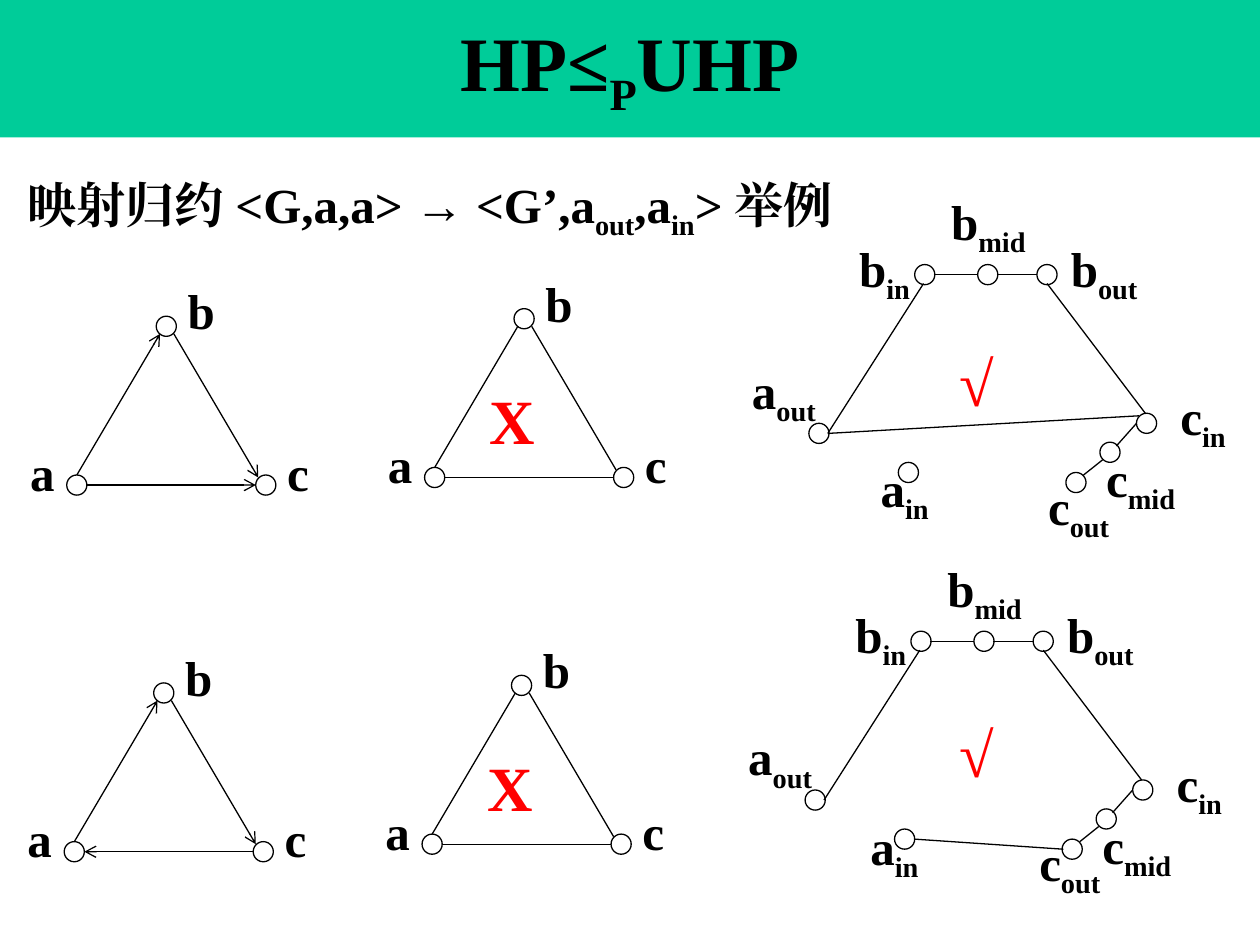
import pptx
import pptx.util
import pptx.dml.color
import pptx.enum.shapes
import pptx.enum.text
import pptx.oxml
import pptx.oxml.ns
from pptx.util import Inches

FONT = "Times New Roman"
BLACK, RED, GREEN = "000000", "FF0000", "00CC99"
NODE = 0.16
SHAPE = pptx.enum.shapes.MSO_SHAPE
ANCHOR = pptx.enum.text.MSO_ANCHOR
ALIGN = pptx.enum.text.PP_ALIGN


def color(code):
    return pptx.dml.color.RGBColor.from_string(code)


def add_sub(parent, tag, **attrs):
    item = pptx.oxml.parse_xml(f"<{tag} {pptx.oxml.ns.nsdecls('a')}/>")
    for name, value in attrs.items():
        item.set(name, value)
    parent.append(item)


def add_runs(para, parts, size, code=BLACK):
    """Write runs; every second part is a subscript."""
    for i, part in enumerate(parts):
        run = para.add_run()
        run.text = part
        font = run.font
        font.name, font.size, font.bold = FONT, pptx.util.Pt(size), True
        font.color.rgb = color(code)
        props = run._r.get_or_add_rPr()
        add_sub(props, "a:ea", typeface=FONT)
        if i % 2:
            props.set("baseline", "-25000")


def add_text(slide, x, y, w, h, parts, size=28, code=BLACK, wrap=False):
    box = slide.shapes.add_textbox(Inches(x), Inches(y), Inches(w), Inches(h))
    frame = box.text_frame
    frame.word_wrap = wrap
    frame.auto_size = pptx.enum.text.MSO_AUTO_SIZE.SHAPE_TO_FIT_TEXT
    add_runs(frame.paragraphs[0], parts, size, code)
    return frame.paragraphs[0]


def add_node(slide, x, y):
    node = slide.shapes.add_shape(
        SHAPE.OVAL, Inches(x), Inches(y), Inches(NODE), Inches(NODE))
    node.shadow.inherit = False
    node.fill.background()
    node.line.color.rgb = color(BLACK)
    node.line.width = pptx.util.Pt(0.75)


def add_edge(slide, x, y, ends, arrow=None):
    x1, y1, x2, y2 = ends
    edge = slide.shapes.add_connector(
        pptx.enum.shapes.MSO_CONNECTOR.STRAIGHT,
        Inches(x + x1), Inches(y + y1), Inches(x + x2), Inches(y + y2))
    edge.line.color.rgb = color(BLACK)
    edge.line.width = pptx.util.Pt(0.75)
    if arrow:
        add_sub(edge.line._get_or_add_ln(), f"a:{arrow}", type="arrow")
    add_sub(edge._element.spPr, "a:effectLst")


def add_title(slide, x, y, w, h):
    bar = slide.shapes.add_shape(
        SHAPE.RECTANGLE, Inches(x), Inches(y), Inches(w), Inches(h))
    bar.shadow.inherit = False
    bar.fill.solid()
    bar.fill.fore_color.rgb = color(GREEN)
    bar.line.fill.background()
    bar.text_frame.vertical_anchor = ANCHOR.MIDDLE
    para = bar.text_frame.paragraphs[0]
    para.alignment = ALIGN.CENTER
    add_runs(para, ["HP≤", "P", "UHP"], 44)


def add_lead(slide, x, y, w, h):
    parts = ["映射归约 <G,a,a> → <G’,a", "out", ",a", "in", "> 举例"]
    para = add_text(slide, x, y, w, h, parts, wrap=True)
    para.line_spacing = 1.1


def add_tri(slide, x, y, arrows=(None, None, None)):
    """Three-node graph; arrows are for the edges b-c, a-c and a-b."""
    for dx, dy in [(0.71, 0), (0, 1.26), (1.5, 1.26)]:
        add_node(slide, x + dx, y + dy)
    edges = [(0.85, 0.14, 1.52, 1.28), (0.16, 1.34, 1.5, 1.34),
             (0.08, 1.26, 0.74, 0.14)]
    for ends, arrow in zip(edges, arrows):
        add_edge(slide, x, y, ends, arrow)
    for name, dx, dy, w in [("a", -0.39, 0.95, 0.4), ("b", 0.86, -0.33, 0.42),
                            ("c", 1.65, 0.95, 0.38)]:
        add_text(slide, x + dx, y + dy, w, 0.57, [name])


def add_split(slide, x, y, last, a_in, c_out):
    """Graph with split nodes; last edge and two label spots vary."""
    nodes = [(0.84, 0), (1.34, 0), (1.81, 0), (2.6, 1.18), (2.31, 1.41),
             (2.04, 1.65), (0, 1.26), (0.71, 1.57)]
    for dx, dy in nodes:
        add_node(slide, x + dx, y + dy)
    edges = [(0.15, 1.34, 0.91, 0.15), (0.99, 0.08, 1.34, 0.08),
             (1.49, 0.08, 1.81, 0.08), (2.67, 1.18, 1.89, 0.15),
             (2.44, 1.44, 2.6, 1.26), (2.18, 1.67, 2.33, 1.55), last]
    for ends in edges:
        add_edge(slide, x, y, ends)
    labels = [("b", "mid", 1.03, -0.63, 0.86), ("b", "in", 0.3, -0.26, 0.64),
              ("b", "out", 1.98, -0.26, 0.79), ("c", "in", 2.85, 0.92, 0.59),
              ("c", "mid", 2.26, 1.41, 0.81), ("c", "out", *c_out, 0.74),
              ("a", "out", -0.55, 0.71, 0.76), ("a", "in", *a_in, 0.62)]
    for name, sub, dx, dy, w in labels:
        add_text(slide, x + dx, y + dy, w, 0.57, [name, sub])


def main():
    deck = pptx.Presentation()
    deck.slide_width, deck.slide_height = Inches(10), Inches(7.5)
    slide = deck.slides.add_slide(deck.slide_layouts[6])

    add_title(slide, 0, -0.03, 10, 1.12)
    add_lead(slide, 0.12, 1.28, 6.85, 0.58)

    # Upper example
    add_tri(slide, 0.53, 2.51, ("tailEnd", "tailEnd", "tailEnd"))
    add_tri(slide, 3.37, 2.45)
    add_split(slide, 6.42, 2.1, (0.15, 1.34, 2.62, 1.2),
              (0.47, 1.49), (1.8, 1.63))

    # Lower example
    add_tri(slide, 0.51, 5.42, ("tailEnd", "headEnd", "tailEnd"))
    add_tri(slide, 3.35, 5.36)
    add_split(slide, 6.39, 5.01, (0.87, 1.65, 2.05, 1.73),
              (0.42, 1.42), (1.76, 1.55))

    # Verdicts
    for mark, x, y, w in [("X", 3.79, 2.98, 0.57), ("√", 7.52, 2.68, 0.48),
                          ("X", 3.77, 5.89, 0.57), ("√", 7.52, 5.62, 0.48)]:
        add_text(slide, x, y, w, 0.71, [mark], 36, RED)

    deck.save("out.pptx")


if __name__ == "__main__":
    main()
